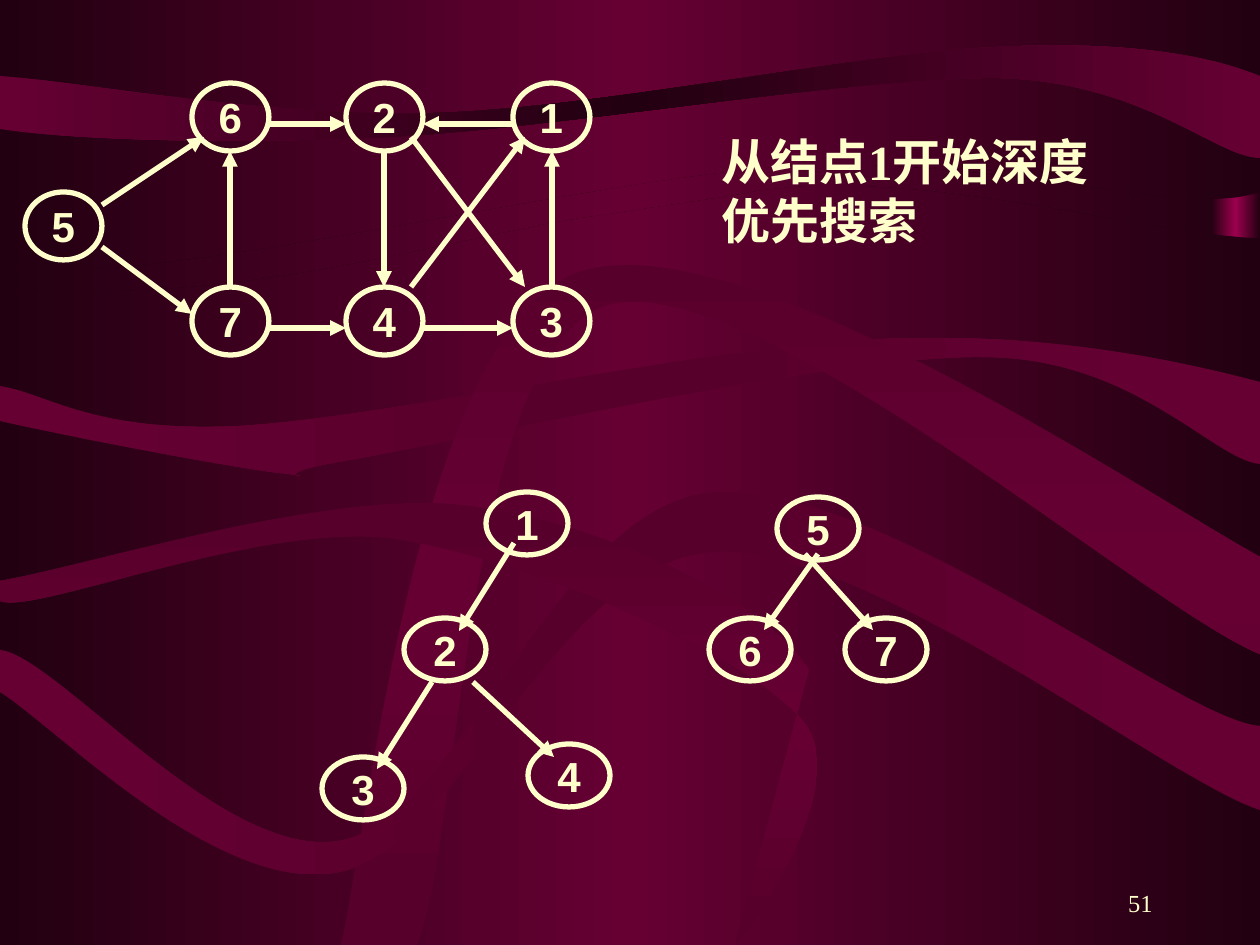
from copy import deepcopy
from dataclasses import dataclass

from pptx import Presentation
from pptx.dml.color import RGBColor
from pptx.enum.shapes import MSO_CONNECTOR as Connector, MSO_SHAPE as Preset
from pptx.enum.text import MSO_ANCHOR as Anchor, PP_ALIGN as Align
from pptx.oxml.ns import qn
from pptx.util import Pt

EMU_PER_PIXEL = 914400 / 126


@dataclass(frozen=True)
class Theme:
    ink: str = "FFFFCC"
    edge: str = "220011"
    wine: str = "660033"
    shade: str = "56002B"
    glow: str = "9C004E"
    node_font: str = "Arial"
    body_font: str = "Times New Roman"
    node_size: int = 24
    title_size: int = 28
    number_size: int = 14
    line_width: int = 3


THEME = Theme()
BACKDROP = (THEME.edge, THEME.wine)
SOFT = (THEME.wine, THEME.shade)

UPPER_PANEL = [(0, 0), (1260, 0), (1260, 192), (1182, 219, 998, 154, 788, 166),
               (577, 179, 131, 294, 0, 266), (0, 0)]
LOWER_PANEL = [(0, 287), (224, 309, 428, 244, 577, 219), (577, 219, 714, 199, 738, 195),
               (901, 160, 1155, 238, 1260, 238), (1260, 945), (0, 945),
               (0, 945, 0, 287, 0, 287)]
RIBBONS = [
    ([(0, 76), (0, 129), (64, 139, 222, 145, 388, 137), (554, 129, 856, 76, 1000, 78),
      (1145, 82, 1217, 158, 1260, 158), (1260, 76), (1216, 58, 1135, 40, 998, 47),
      (859, 53, 601, 108, 435, 113), (268, 118, 91, 83, 0, 76)],
     (THEME.wine, THEME.edge), 0),
    ([(0, 386), (0, 421), (46, 432, 221, 466, 280, 473), (339, 479, 239, 478, 355, 459),
      (473, 438, 832, 355, 983, 357), (1134, 357, 1213, 460, 1260, 464), (1260, 382),
      (1197, 365, 1053, 331, 883, 339), (713, 345, 387, 418, 239, 426),
      (92, 433, 50, 394, 0, 386)], SOFT, 0),
    ([(341, 945), (367, 833, 418, 339, 572, 275), (725, 209, 1145, 494, 1260, 557),
      (1260, 654), (1150, 611, 745, 258, 604, 306), (464, 355, 461, 839, 417, 945),
      (341, 945)], SOFT[::-1], 90),
    ([(0, 650), (0, 692), (57, 728, 219, 896, 339, 872), (457, 849, 558, 562, 712, 552),
      (866, 541, 1168, 781, 1260, 810), (1260, 726), (1182, 721, 871, 475, 708, 493),
      (556, 512, 462, 814, 344, 840), (226, 866, 57, 655, 0, 650)], SOFT, 0),
    ([(0, 581), (0, 601), (33, 616, 262, 520, 396, 539), (529, 559, 746, 653, 803, 721),
      (859, 788, 733, 954, 735, 945), (809, 670), (764, 597, 596, 520, 461, 505),
      (326, 490, 96, 564, 0, 581)], SOFT[::-1], 90),
]

GRAPH_NODES = {"5": (25, 192), "6": (192, 83), "7": (192, 287), "2": (346, 83),
               "4": (346, 287), "1": (513, 83), "3": (513, 287)}
GRAPH_EDGES = [(411, 137, 525, 287), (411, 287, 525, 137), (230, 287, 230, 151),
               (268, 124, 346, 124), (384, 151, 384, 287), (552, 287, 552, 151),
               (268, 328, 346, 328), (423, 328, 513, 328), (513, 124, 423, 124),
               (102, 205, 204, 137), (102, 247, 192, 314)]
FOREST_NODES = {"1": (486, 492), "2": (404, 618), "4": (528, 744), "3": (322, 757),
                "5": (777, 497), "6": (709, 618), "7": (845, 618)}
FOREST_EDGES = [(818, 554, 764, 630), (805, 554, 873, 630), (514, 543, 459, 631),
                (473, 682, 554, 757), (432, 682, 377, 769)]


def px(*lengths):
    return [round(length * EMU_PER_PIXEL) for length in lengths]


def rgb(color):
    return RGBColor.from_string(color)


def fill_gradient(fill, element, colors, angle=0):
    fill.gradient()
    fill.gradient_angle = angle
    stop_list = element.xpath(".//a:gsLst")[0]
    stop_list.append(deepcopy(stop_list[-1]))
    outer, middle = colors
    for stop, color, position in zip(fill.gradient_stops, (outer, middle, outer), (0, 0.5, 1)):
        stop.color.rgb = rgb(color)
        stop.position = position


def paint(shape, colors, angle=0):
    shape.shadow.inherit = False
    fill_gradient(shape.fill, shape._element, colors, angle)
    shape.line.fill.background()


def bend_segments(shape, segments):
    lines = iter(shape._element.xpath(".//a:lnTo"))
    for segment in segments:
        first = next(lines)
        if len(segment) == 6:
            curve = first.makeelement(qn("a:cubicBezTo"), {})
            first.addprevious(curve)
            for line in (first, next(lines), next(lines)):
                curve.append(line[0])
                line.getparent().remove(line)


def add_outline(shapes, outline, colors, angle=0):
    start, *segments = outline
    points = [px(*segment[index:index + 2])
              for segment in segments for index in range(0, len(segment), 2)]
    builder = shapes.build_freeform(*px(*start), scale=1.0)
    builder.add_line_segments(points, close=True)
    shape = builder.convert_to_shape()
    bend_segments(shape, segments)
    paint(shape, colors, angle)


def write(shape, text, font_name, size, align, anchor, bold=True):
    frame = shape.text_frame
    frame.text = text
    frame.word_wrap = True
    frame.vertical_anchor = anchor
    paragraph = frame.paragraphs[0]
    paragraph.alignment = align
    font = paragraph.runs[0].font
    font.name, font.size, font.bold = font_name, Pt(size), bold
    font.color.rgb = rgb(THEME.ink)


def add_label(shapes, box, text, size, align, anchor, bold):
    shape = shapes.add_textbox(*px(*box))
    write(shape, text, THEME.body_font, size, align, anchor, bold)


def style_line(line):
    line.color.rgb = rgb(THEME.ink)
    line.width = Pt(THEME.line_width)


def add_node(shapes, label, position, size, insets):
    shape = shapes.add_shape(Preset.OVAL, *px(*position, *size))
    shape.shadow.inherit = False
    shape.fill.background()
    style_line(shape.line)
    frame = shape.text_frame
    frame.margin_left = frame.margin_right = px(insets[0])[0]
    frame.margin_top = frame.margin_bottom = px(insets[1])[0]
    write(shape, label, THEME.node_font, THEME.node_size, Align.CENTER, Anchor.MIDDLE)


def add_arrow(shapes, ends):
    arrow = shapes.add_connector(Connector.STRAIGHT, *px(*ends))
    style_line(arrow.line)
    outline = arrow.line._get_or_add_ln()
    outline.append(outline.makeelement(qn("a:tailEnd"), {"type": "triangle"}))
    properties = arrow._element.spPr
    properties.append(properties.makeelement(qn("a:effectLst"), {}))


def add_diagram(slide, nodes, edges, size, insets):
    shapes = slide.shapes.add_group_shape().shapes
    for ends in edges:
        add_arrow(shapes, ends)
    for label, position in nodes.items():
        add_node(shapes, label, position, size, insets)


def add_backdrop(slide):
    fill_gradient(slide.background.fill, slide.element, BACKDROP)
    shapes = slide.shapes.add_group_shape().shapes
    glow = shapes.add_shape(Preset.RECTANGLE, *px(1211, 62, 49, 435))
    paint(glow, (THEME.edge, THEME.glow))
    for panel in (UPPER_PANEL, LOWER_PANEL):
        add_outline(shapes, panel, BACKDROP)
    for outline, colors, angle in RIBBONS:
        add_outline(shapes, outline, colors, angle)


def main():
    presentation = Presentation()
    presentation.slide_width, presentation.slide_height = px(1260, 945)
    slide = presentation.slides.add_slide(presentation.slide_layouts[6])
    add_backdrop(slide)
    add_label(slide.shapes, (903, 861, 262, 63), "51", THEME.number_size,
              Align.RIGHT, Anchor.BOTTOM, False)
    add_diagram(slide, GRAPH_NODES, GRAPH_EDGES, (77, 68), (10, 5))
    add_label(slide.shapes, (709, 125, 437, 131), "从结点1开始深度优先搜索 ",
              THEME.title_size, Align.LEFT, Anchor.MIDDLE, True)
    add_diagram(slide, FOREST_NODES, FOREST_EDGES, (82, 63), (13, 0))
    presentation.save("out.pptx")


main()
